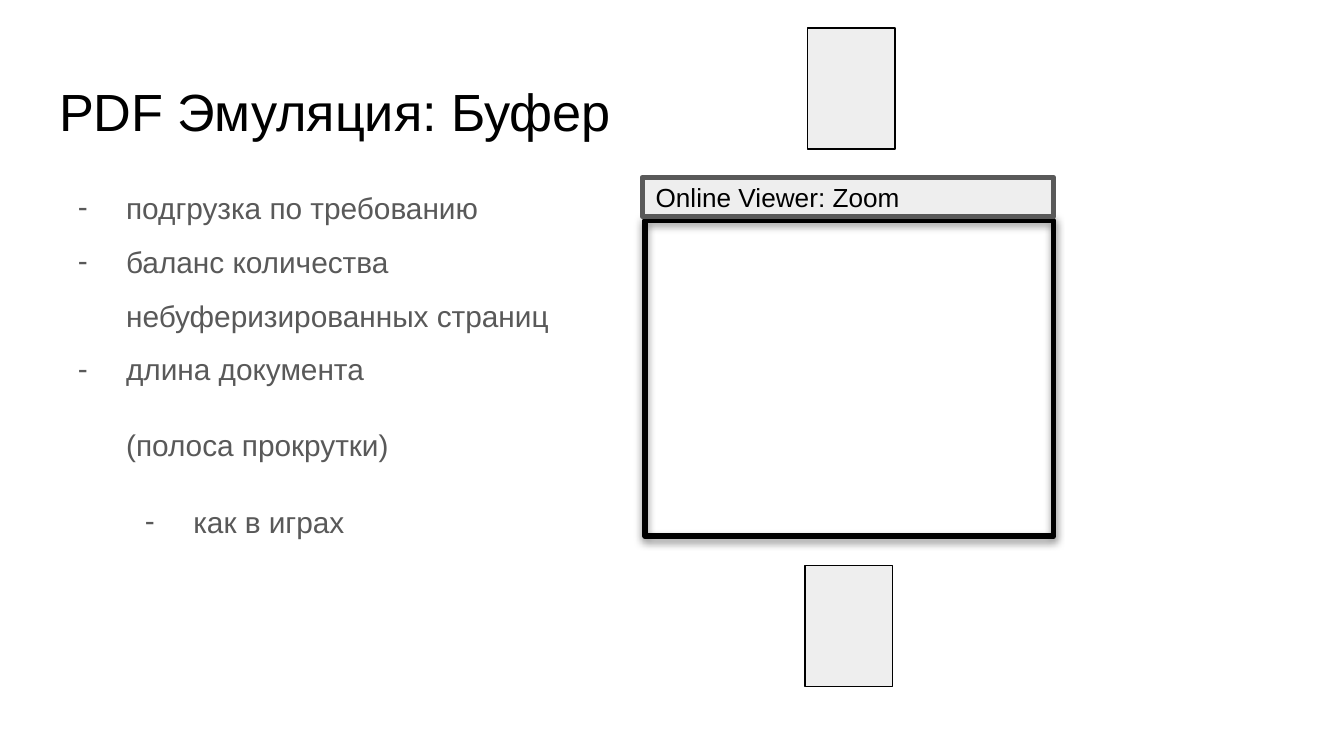
import pptx
import pptx.dml.color
import pptx.enum.shapes
import pptx.enum.text
import pptx.oxml
import pptx.oxml.ns
import pptx.util
from pptx.util import Inches

RGBColor = pptx.dml.color.RGBColor
BLACK = RGBColor(0x00, 0x00, 0x00)
DARK_GRAY = RGBColor(0x59, 0x59, 0x59)
LIGHT_GRAY = RGBColor(0xEE, 0xEE, 0xEE)
NAMESPACE = pptx.oxml.ns.nsdecls("a")


def format_text(text_frame, size, color, anchor):
    frame_format = {
        "word_wrap": True,
        "auto_size": pptx.enum.text.MSO_AUTO_SIZE.NONE,
        "vertical_anchor": anchor,
        "margin_left": Inches(0.1),
        "margin_top": Inches(0.1),
        "margin_right": Inches(0.1),
        "margin_bottom": Inches(0.1),
    }
    for name, value in frame_format.items():
        setattr(text_frame, name, value)
    for paragraph in text_frame.paragraphs:
        paragraph.alignment = pptx.enum.text.PP_ALIGN.LEFT
        paragraph.font.name = "Arial"
        paragraph.font.size = pptx.util.Pt(size)
        paragraph.font.color.rgb = color


def add_rectangle(box, fill, line_color, line_width):
    shape = slide.shapes.add_shape(
        pptx.enum.shapes.MSO_SHAPE.RECTANGLE, *map(Inches, box))
    shape.shadow.inherit = False
    if fill is None:
        shape.fill.background()
    else:
        shape.fill.solid()
        shape.fill.fore_color.rgb = fill
    shape.line.color.rgb = line_color
    shape.line.width = pptx.util.Pt(line_width)
    return shape


presentation = pptx.Presentation()
presentation.slide_width = Inches(10)
presentation.slide_height = Inches(10) * 9 // 16
slide = presentation.slides.add_slide(presentation.slide_layouts[5])
TOP = pptx.enum.text.MSO_ANCHOR.TOP
MIDDLE = pptx.enum.text.MSO_ANCHOR.MIDDLE

# Viewer window with a soft shadow below it
viewer = add_rectangle((4.8, 1.64, 3.04, 2.35), None, BLACK, 3)
effects = viewer.element.spPr.find(pptx.oxml.ns.qn("a:effectLst"))
effects.append(pptx.oxml.parse_xml(
    f'<a:outerShdw {NAMESPACE} blurRad="{pptx.util.Pt(4.5)}" dist="{pptx.util.Pt(1.5)}"'
    ' dir="5400000" algn="bl" rotWithShape="0">'
    f'<a:srgbClr val="{BLACK}"><a:alpha val="50000"/></a:srgbClr></a:outerShdw>'))

# Title
title = slide.shapes.title
title.left, title.top, title.width, title.height = map(Inches, (0.34, 0.49, 9.32, 0.63))
title.text_frame.text = "PDF Эмуляция: Буфер"
format_text(title.text_frame, 28, BLACK, TOP)

# Buffer notes: text, left margin, first-line indent, space before, bulleted
notes = [
    ("подгрузка по требованию", 0.5, -0.36, 0, True),
    ("баланс количества небуферизированных страниц", 0.5, -0.36, 0, True),
    ("длина документа", 0.5, -0.36, 0, True),
    ("(полоса прокрутки)", 0, 0.5, 12, False),
    ("как в играх", 1, -0.36, 12, True),
]
body = slide.shapes.add_textbox(*map(Inches, (0.34, 1.18, 4.19, 4.11)))
body.text_frame.text = "\n".join(note[0] for note in notes)
for paragraph, note in zip(body.text_frame.paragraphs, notes):
    text, margin, indent, space_before, bulleted = note
    properties = paragraph._p.get_or_add_pPr()
    properties.set("marL", str(Inches(margin)))
    properties.set("indent", str(Inches(indent)))
    if bulleted:
        for bullet in (
            f'<a:buClr {NAMESPACE}><a:srgbClr val="{DARK_GRAY}"/></a:buClr>',
            f'<a:buSzPts {NAMESPACE} val="1600"/>',
            f'<a:buFont {NAMESPACE} typeface="Arial"/>',
            f'<a:buChar {NAMESPACE} char="-"/>',
        ):
            properties.append(pptx.oxml.parse_xml(bullet))
    paragraph.line_spacing = 1.5
    paragraph.space_before = pptx.util.Pt(space_before)
format_text(body.text_frame, 16, DARK_GRAY, TOP)

# Viewer toolbar
toolbar = add_rectangle((4.78, 1.32, 3.06, 0.29), LIGHT_GRAY, DARK_GRAY, 3)
toolbar.text_frame.text = "Online Viewer: Zoom"
format_text(toolbar.text_frame, 14, BLACK, MIDDLE)

# Buffered pages above and below the viewer
for left, top in ((6.01, 0.21), (5.99, 4.21)):
    add_rectangle((left, top, 0.65, 0.9), LIGHT_GRAY, BLACK, 0.75)

presentation.save("out.pptx")
